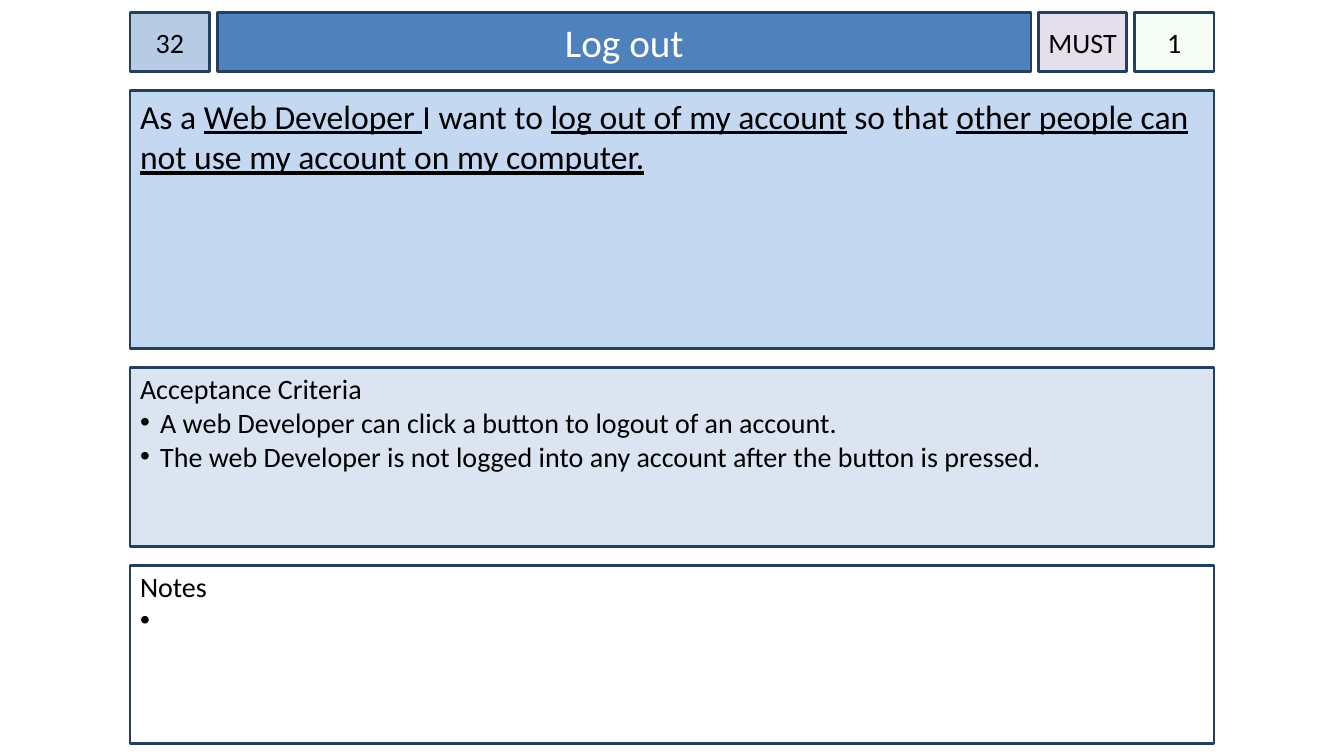
import pptx
import pptx.util
import pptx.dml.color
import pptx.enum.shapes
import pptx.enum.text
import pptx.oxml
import pptx.oxml.ns
from lxml import etree

Inches, Pt = pptx.util.Inches, pptx.util.Pt
ALIGN, ANCHOR = pptx.enum.text.PP_ALIGN, pptx.enum.text.MSO_ANCHOR
COLORS = {
    "border": "244061", "text": "000000", "title text": "FFFFFF",
    "number": "B7CCE4", "title": "4F81BD", "priority": "E5DFEC", "points": "CCF0CD",
    "story": "C5D8F1", "criteria": "DAE5F1", "notes": "FFFFFF",
}
LEFT, TOP, WIDTH = 1.29, 0.12, 10.75
HEADER_HEIGHT, ROW_GAP = 0.59, 0.19


def color(name):
    return pptx.dml.color.RGBColor.from_string(COLORS[name])


def add_span(para, words, size=20, ink="text", underline=None):
    span = para.add_run()
    span.text = words
    span.font.name = "Calibri"
    span.font.size = Pt(size)
    span.font.color.rgb = color(ink)
    span.font.underline = underline


deck = pptx.Presentation()
deck.slide_width, deck.slide_height = Inches(13.33), Inches(7.5)
page = deck.slides.add_slide(deck.slide_layouts.get_by_name("Title Only"))

# Header cells run left to right, panels run downwards: (name, left, top, width, height)
header = [("number", 0.79), ("title", 8.07), ("priority", 0.87), ("points", 0.79)]
panels = [("story", 2.56), ("criteria", 1.77), ("notes", 1.77)]
header_gap = (WIDTH - sum(width for _, width in header)) / (len(header) - 1)
cells = []
left = LEFT
for name, width in header:
    cells.append((name, left, TOP, width, HEADER_HEIGHT))
    left += width + header_gap
top = TOP + HEADER_HEIGHT + ROW_GAP
for name, height in panels:
    cells.append((name, LEFT, top, WIDTH, height))
    top += height + ROW_GAP

boxes = {}
for name, *place in cells:
    left, top, width, height = map(Inches, place)
    if name == "title":
        box = page.shapes.title
        box.left, box.top, box.width, box.height = left, top, width, height
    else:
        box = page.shapes.add_shape(
            pptx.enum.shapes.MSO_SHAPE.RECTANGLE, left, top, width, height)
        box.shadow.inherit = False
    box.fill.solid()
    box.fill.fore_color.rgb = color(name)
    box.line.color.rgb = color("border")
    box.line.width = Pt(2)
    frame = box.text_frame
    frame.word_wrap = True
    frame.auto_size = pptx.enum.text.MSO_AUTO_SIZE.NONE
    in_header = name in dict(header)
    frame.vertical_anchor = ANCHOR.MIDDLE if in_header else ANCHOR.TOP
    frame.paragraphs[0].alignment = ALIGN.CENTER if in_header else ALIGN.LEFT
    frame.margin_left = frame.margin_right = Inches(
        0 if in_header and name != "title" else 0.1)
    frame.margin_top = Inches(0.04 if name in ("criteria", "notes") else 0.05)
    frame.margin_bottom = Inches(0.05)
    boxes[name] = box

points_color = boxes["points"].fill._xPr.find(".//" + pptx.oxml.ns.qn("a:srgbClr"))
etree.SubElement(points_color, pptx.oxml.ns.qn("a:alpha"), val="20000")

for name, words in [("number", "32"), ("priority", "MUST"), ("points", "1")]:
    add_span(boxes[name].text_frame.paragraphs[0], words)
add_span(boxes["title"].text_frame.paragraphs[0], "Log out", 28, "title text")

story = [
    ("As a ", False), ("Web Developer ", True),
    ("I want to ", False), ("log out of my account", True),
    (" so that ", False), ("other people can not use my account on my computer.", True),
]
for words, underline in story:
    add_span(boxes["story"].text_frame.paragraphs[0], words, 24, underline=underline)

lists = {
    "criteria": ("Acceptance Criteria", [
        "A web Developer can click a button to logout of an account.",
        "The web Developer is not logged into any account after the button is pressed.",
    ]),
    "notes": ("Notes", [" "]),
}
for name, (heading, items) in lists.items():
    frame = boxes[name].text_frame
    add_span(frame.paragraphs[0], heading)
    for item in items:
        para = frame.add_paragraph()
        para.alignment = ALIGN.LEFT
        properties = para._p.get_or_add_pPr()
        properties.set("marL", str(Inches(0.2)))
        properties.set("indent", str(Inches(-0.2)))
        bullet_color = etree.SubElement(properties, pptx.oxml.ns.qn("a:buClr"))
        etree.SubElement(bullet_color, pptx.oxml.ns.qn("a:srgbClr"), val=COLORS["text"])
        etree.SubElement(properties, pptx.oxml.ns.qn("a:buFont"), typeface="Arial")
        etree.SubElement(properties, pptx.oxml.ns.qn("a:buChar"), char="•")
        add_span(para, item)

deck.save("out.pptx")
